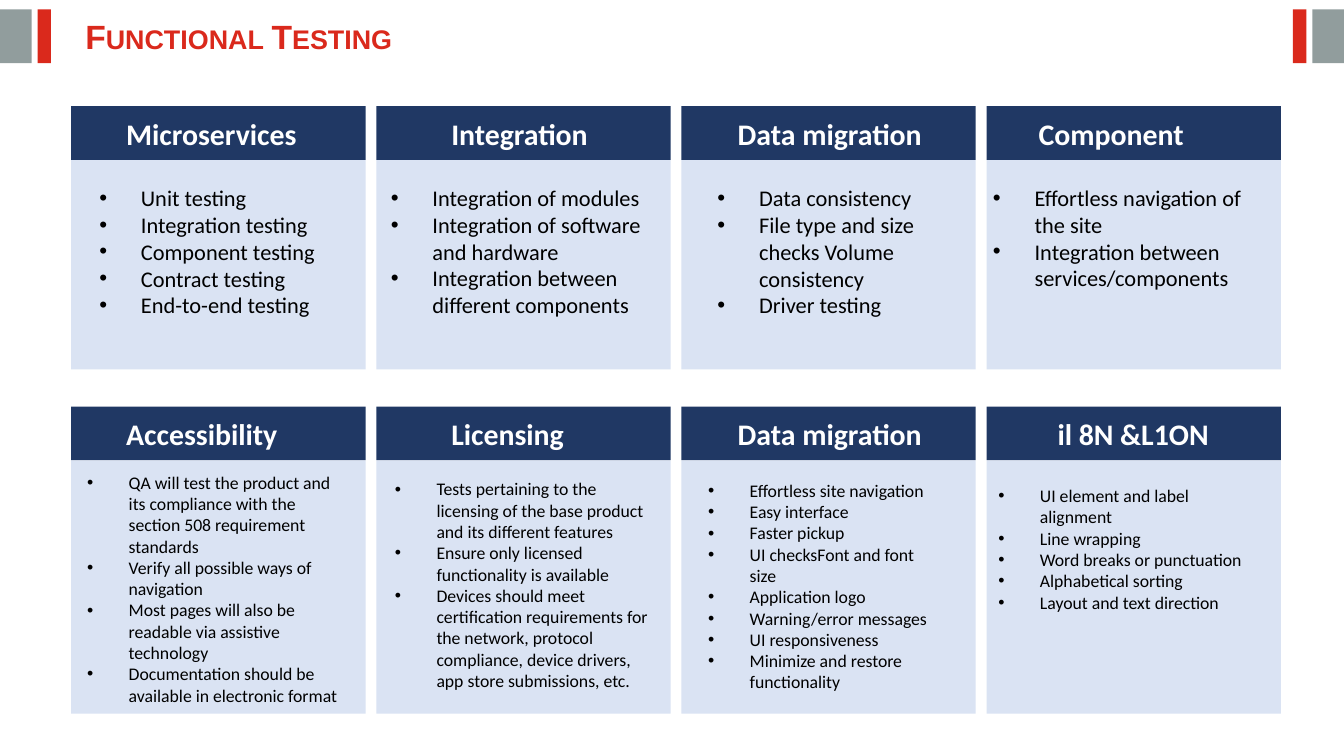
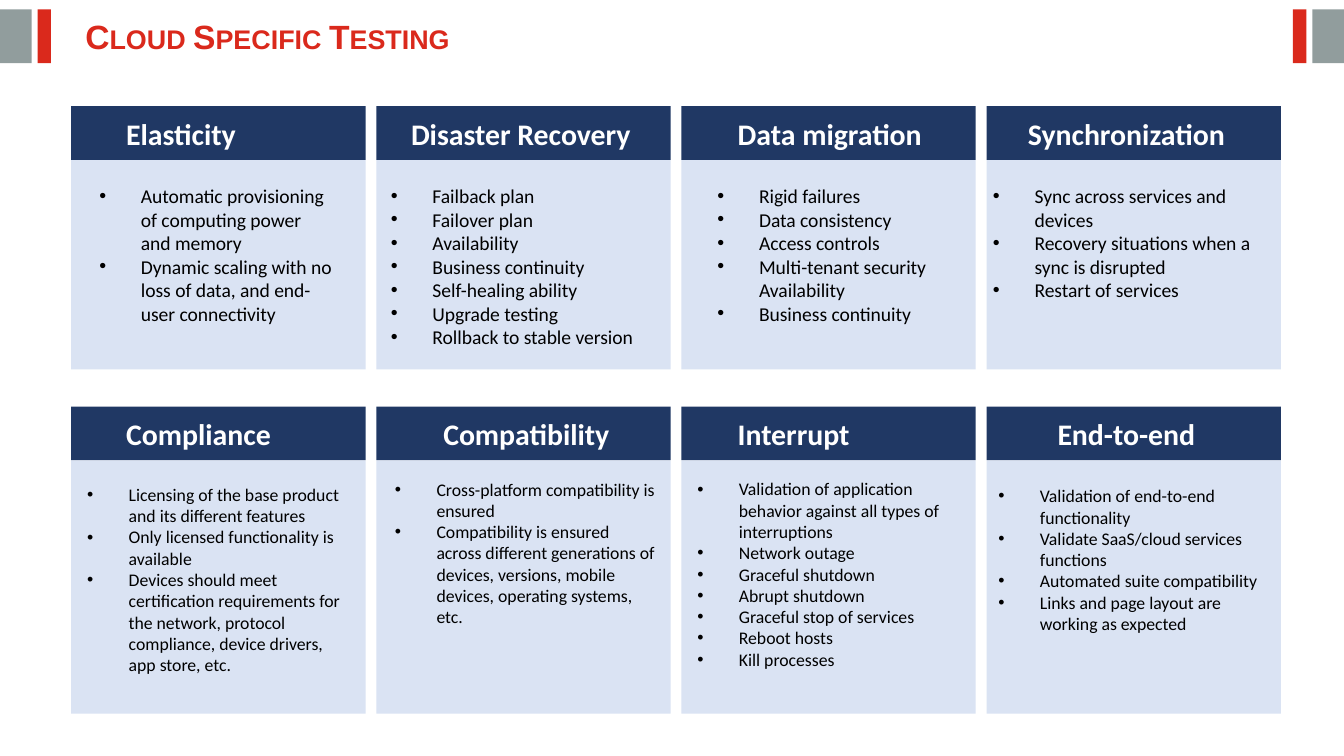
from dataclasses import dataclass

from lxml.etree import SubElement
from pptx import Presentation
from pptx.dml.color import RGBColor
from pptx.enum.shapes import MSO_SHAPE as Shape
from pptx.enum.text import MSO_ANCHOR as Anchor, MSO_AUTO_SIZE as AutoSize, PP_ALIGN as Align
from pptx.oxml.ns import qn
from pptx.util import Emu, Pt

# Lengths are in px, 200 to the inch
SCALE = 4572
SLIDE_W, SLIDE_H = 2000, 1125
COLORS = {"red": "DA291C", "grey": "919D9D", "navy": "203864",
          "pale": "DAE3F3", "white": "FFFFFF", "black": "000000"}

# Card grid
GRID_LEFT, CARD_W, CARD_GAP = 106, 438, 16
HEADER_H, HEADING_H, HEADING_DY = 80, 74, 4
ROW_TOPS, BODY_HEIGHTS = (158, 605), (312, 377)
BULLET_INDENT = 62
TITLE_ONLY = 5


@dataclass
class Card:
    heading: str
    heading_span: tuple  # left, width within the card
    list_box: tuple      # left, top, width, height within the card
    items: list


@dataclass
class Page:
    title: str
    list_sizes: tuple    # one text size per row
    rows: list


PAGES = [
    Page("Functional Testing", (12, 9.5), [
        [
            Card("Microservices", (62, 322), (22, 106, 390, 222), [
                "Unit testing", "Integration testing", "Component testing",
                "Contract testing", "End-to-end testing"]),
            Card("Integration", (92, 266), (2, 106, 428, 234), [
                "Integration of modules",
                "Integration of software and hardware",
                "Integration between different components"]),
            Card("Data migration", (64, 322), (34, 106, 354, 222), [
                "Data consistency",
                "File type and size checks Volume consistency",
                "Driver testing"]),
            Card("Component", (58, 322), (-10, 106, 428, 188), [
                "Effortless navigation of the site",
                "Integration between services/components"]),
        ],
        [
            Card("Accessibility", (62, 322), (4, 87, 428, 384), [
                "QA will test the product and its compliance with the section 508 "
                "requirement standards",
                "Verify all possible ways of navigation",
                "Most pages will also be readable via assistive technology",
                "Documentation should be available in electronic format"]),
            Card("Licensing", (92, 266), (8, 97, 428, 340), [
                "Tests pertaining to the licensing of the base product and its "
                "different features",
                "Ensure only licensed functionality is available",
                "Devices should meet certification requirements for the network, "
                "protocol compliance, device drivers, app store submissions, etc."]),
            Card("Data migration", (64, 322), (20, 99, 390, 404), [
                "Effortless site navigation", "Easy interface", "Faster pickup",
                "UI checksFont and font size", "Application logo",
                "Warning/error messages", "UI responsiveness",
                "Minimize and restore functionality"]),
            Card("il 8N &L1ON", (86, 322), (-2, 107, 428, 212), [
                "UI element and label alignment", "Line wrapping",
                "Word breaks or punctuation", "Alphabetical sorting",
                "Layout and text direction"]),
        ],
    ]),
    Page("Cloud Specific Testing", (10.5, 9.5), [
        [
            Card("Elasticity", (62, 322), (22, 106, 390, 232), [
                "Automatic provisioning of computing power and memory",
                "Dynamic scaling with no loss of data, and end-user connectivity"]),
            Card("Disaster Recovery", (32, 390), (2, 106, 428, 268), [
                "Failback plan", "Failover plan", "Availability",
                "Business continuity", "Self-healing ability",
                "Upgrade testing", "Rollback to stable version"]),
            Card("Data migration", (64, 322), (34, 106, 354, 232), [
                "Rigid failures", "Data consistency", "Access controls",
                "Multi-tenant security Availability", "Business continuity"]),
            Card("Synchronization", (42, 354), (-10, 106, 428, 196), [
                "Sync across services and devices",
                "Recovery situations when a sync is disrupted",
                "Restart of services"]),
        ],
        [
            Card("Compliance", (62, 322), (4, 105, 428, 308), [
                "Licensing of the base product and its different features",
                "Only licensed functionality is available",
                "Devices should meet certification requirements for the network, "
                "protocol compliance, device drivers, app store, etc."]),
            Card("Compatibility", (80, 292), (8, 97, 428, 244), [
                "Cross-platform compatibility is ensured",
                "Compatibility is ensured across different generations of devices, "
                "versions, mobile devices, operating systems, etc."]),
            Card("Interrupt", (64, 322), (4, 97, 428, 308), [
                "Validation of application behavior against all types of interruptions",
                "Network outage", "Graceful shutdown", "Abrupt shutdown",
                "Graceful stop of services", "Reboot hosts", "Kill processes"]),
            Card("End-to-end", (86, 322), (-2, 107, 428, 244), [
                "Validation of end-to-end functionality",
                "Validate SaaS/cloud services functions",
                "Automated suite compatibility",
                "Links and page layout are working as expected"]),
        ],
    ]),
]


def px(length):
    return Emu(length * SCALE)


def color(name):
    return RGBColor.from_string(COLORS[name])


def add_bullet(paragraph):
    props = paragraph._p.get_or_add_pPr()
    props.set("marL", str(px(BULLET_INDENT)))
    props.set("indent", str(-px(BULLET_INDENT)))
    SubElement(props, qn("a:buFont")).set("typeface", "Arial")
    SubElement(props, qn("a:buChar")).set("char", "•")


def write(frame, lines, *, size, fill="black", font="Calibri", bold=False,
          bullets=False, small_caps=False):
    frame.word_wrap = True
    frame.vertical_anchor = Anchor.TOP
    for index, line in enumerate(lines):
        paragraph = frame.paragraphs[0] if index == 0 else frame.add_paragraph()
        if bullets:
            add_bullet(paragraph)
        paragraph.alignment = Align.LEFT
        run = paragraph.add_run()
        run.text = line
        run.font.size = Pt(size)
        run.font.name = font
        run.font.bold = bold
        run.font.color.rgb = color(fill)
        if small_caps:
            run._r.get_or_add_rPr().set("cap", "small")


def add_text(slide, box, lines, **style):
    frame = slide.shapes.add_textbox(*map(px, box)).text_frame
    write(frame, lines, **style)
    frame.auto_size = AutoSize.SHAPE_TO_FIT_TEXT


def add_block(slide, box, fill):
    block = slide.shapes.add_shape(Shape.RECTANGLE, *map(px, box))
    block.shadow.inherit = False
    block.fill.solid()
    block.fill.fore_color.rgb = color(fill)
    block.line.fill.background()


def add_title_bar(slide, title, box):
    left, top, width, height = box
    # Grey and red bands, mirrored at the right edge
    for offset, band_w, fill in ((0, 47, "grey"), (56, 20, "red")):
        for x in (left + offset, left + width - offset - band_w):
            add_block(slide, (x, top, band_w, height), fill)
    # Title
    heading = slide.shapes.title
    heading.left, heading.top = px(left + 96), px(top)
    heading.width, heading.height = px(1510), px(height)
    frame = heading.text_frame
    frame.auto_size = AutoSize.NONE
    frame.margin_left = px(31)
    write(frame, [title], size=18, fill="red", font="Arial", bold=True, small_caps=True)


def add_card(slide, card, box, list_size):
    left, top, width, height = box
    # Panels
    add_block(slide, (left, top + HEADER_H, width, height - HEADER_H), "pale")
    add_block(slide, (left, top, width, HEADER_H), "navy")
    # Heading
    heading_x, heading_w = card.heading_span
    add_text(slide, (left + heading_x, top + HEADING_DY, heading_w, HEADING_H),
             [card.heading], size=16, fill="white", bold=True)
    # List
    list_x, list_y, list_w, list_h = card.list_box
    add_text(slide, (left + list_x, top + list_y, list_w, list_h),
             card.items, size=list_size, bullets=True)


def add_page(deck, page):
    slide = deck.slides.add_slide(deck.slide_layouts[TITLE_ONLY])
    add_title_bar(slide, page.title, (0, 14, SLIDE_W, 80))
    for cards, top, body_h, size in zip(page.rows, ROW_TOPS, BODY_HEIGHTS, page.list_sizes):
        for column, card in enumerate(cards):
            left = GRID_LEFT + column * (CARD_W + CARD_GAP)
            add_card(slide, card, (left, top, CARD_W, HEADER_H + body_h), size)


def main():
    deck = Presentation()
    deck.slide_width, deck.slide_height = px(SLIDE_W), px(SLIDE_H)
    for page in PAGES:
        add_page(deck, page)
    deck.save("out.pptx")


if __name__ == "__main__":
    main()
